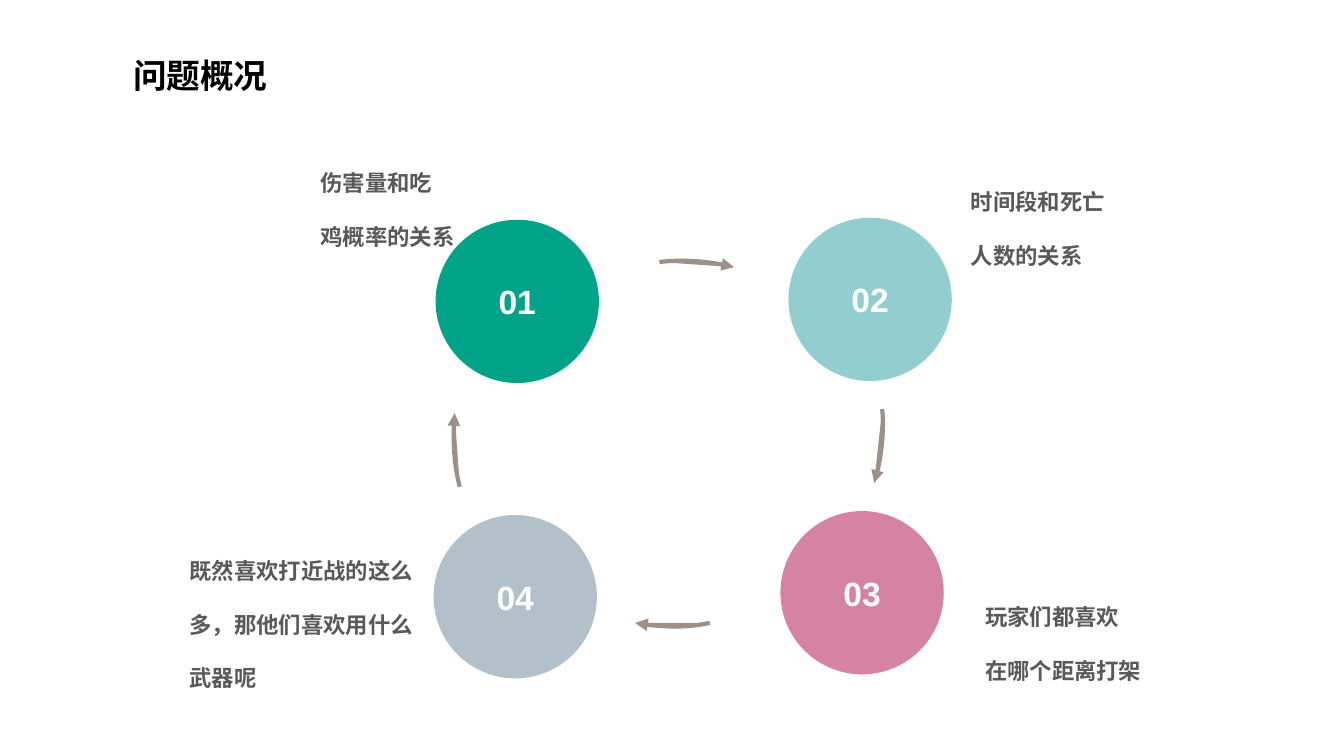
from dataclasses import dataclass

from lxml import etree
from pptx import Presentation
from pptx.dml.color import RGBColor
from pptx.enum.shapes import MSO_SHAPE
from pptx.enum.text import MSO_ANCHOR, PP_ALIGN
from pptx.oxml.ns import qn
from pptx.util import Inches, Pt

OVAL = MSO_SHAPE.OVAL
MIDDLE = MSO_ANCHOR.MIDDLE
LEFT, CENTER = PP_ALIGN.LEFT, PP_ALIGN.CENTER

LATIN_FONT = "Arial"
CHINESE_FONT = "Noto Sans CJK SC"
ARROW_COLOR = "9C9088"
LABEL_COLOR = "595959"
CIRCLE_SIZE = 1.62
CURVE_STEPS = 16

Point = tuple[float, float]


@dataclass
class Question:
    number: str
    color: str
    circle: Point
    label_box: tuple[float, float, float, float]
    label: list[str]


@dataclass
class CurvedArrow:
    start: Point
    control_one: Point
    control_two: Point
    end: Point

    def point(self, t: float) -> Point:
        """Point on the cubic curve at t, from 0 to 1."""
        weights = ((1 - t) ** 3, 3 * t * (1 - t) ** 2, 3 * t**2 * (1 - t), t**3)
        points = (self.start, self.control_one, self.control_two, self.end)
        x, y = (sum(w * p[axis] for w, p in zip(weights, points)) for axis in (0, 1))
        return Inches(x), Inches(y)


QUESTIONS = [
    Question("01", "00A388", (4.32, 2.18), (3.05, 1.34, 2.01, 1.13),
             ["伤害量和吃", "鸡概率的关系"]),
    Question("02", "92CDCF", (7.82, 2.16), (9.5, 1.53, 2.83, 1.13),
             ["时间段和死亡", "人数的关系"]),
    Question("03", "D582A3", (7.74, 5.07), (9.64, 5.65, 2.55, 1.13),
             ["玩家们都喜欢", "在哪个距离打架"]),
    Question("04", "B1C0C9", (4.3, 5.11), (1.75, 5.19, 2.55, 1.66),
             ["既然喜欢打近战的这么多，那他们喜欢用什么武器呢"]),
]

ARROWS = [
    CurvedArrow((6.54, 2.6), (6.86, 2.56), (7.16, 2.62), (7.28, 2.65)),
    CurvedArrow((8.75, 4.06), (8.78, 4.37), (8.71, 4.67), (8.67, 4.79)),
    CurvedArrow((7.04, 6.18), (6.73, 6.25), (6.42, 6.2), (6.3, 6.18)),
    CurvedArrow((4.56, 4.83), (4.48, 4.53), (4.5, 4.22), (4.51, 4.1)),
]


def rgb(color: str) -> RGBColor:
    return RGBColor.from_string(color)


def add_run(paragraph, text: str, size: float, color: str, font: str = LATIN_FONT) -> None:
    run = paragraph.add_run()
    run.text = text
    run.font.size = Pt(size)
    run.font.bold = True
    run.font.color.rgb = rgb(color)
    run.font.name = font
    east_asian = etree.SubElement(run.font._element, qn("a:ea"))
    east_asian.set("typeface", CHINESE_FONT)


def set_margins(text_frame, horizontal: float, vertical: float) -> None:
    text_frame.margin_left = text_frame.margin_right = Inches(horizontal)
    text_frame.margin_top = text_frame.margin_bottom = Inches(vertical)


def add_title(slide, text: str) -> None:
    title = slide.shapes.title
    title.left, title.top = Inches(1.22), Inches(0.49)
    title.width, title.height = Inches(5.7), Inches(0.5)
    title.text_frame.vertical_anchor = MIDDLE
    paragraph = title.text_frame.paragraphs[0]
    paragraph.alignment = LEFT
    add_run(paragraph, text, 24, "000000", CHINESE_FONT)


def add_arrow(slide, arrow: CurvedArrow) -> None:
    builder = slide.shapes.build_freeform(*arrow.point(0))
    builder.add_line_segments(
        [arrow.point(step / CURVE_STEPS) for step in range(1, CURVE_STEPS + 1)], close=False)
    shape = builder.convert_to_shape()
    shape.shadow.inherit = False
    shape.fill.solid()
    shape.fill.fore_color.rgb = rgb(ARROW_COLOR)
    shape.line.color.rgb = rgb(ARROW_COLOR)
    shape.line.width = Pt(3)
    etree.SubElement(shape.line._get_or_add_ln(), qn("a:tailEnd")).set("type", "triangle")


def add_circle(slide, question: Question) -> None:
    left, top = question.circle
    circle = slide.shapes.add_shape(
        OVAL, Inches(left), Inches(top), Inches(CIRCLE_SIZE), Inches(CIRCLE_SIZE))
    circle.shadow.inherit = False
    circle.fill.solid()
    circle.fill.fore_color.rgb = rgb(question.color)
    circle.line.fill.background()
    set_margins(circle.text_frame, 0, 0)
    circle.text_frame.vertical_anchor = MIDDLE
    paragraph = circle.text_frame.paragraphs[0]
    paragraph.alignment = CENTER
    add_run(paragraph, question.number, 24, "FFFFFF")


def add_label(slide, question: Question) -> None:
    box = slide.shapes.add_textbox(*map(Inches, question.label_box))
    text_frame = box.text_frame
    text_frame.word_wrap = True
    set_margins(text_frame, 0.13, 0.07)
    for index, line in enumerate(question.label):
        paragraph = text_frame.add_paragraph() if index else text_frame.paragraphs[0]
        paragraph.line_spacing = 2.0
        add_run(paragraph, line, 16, LABEL_COLOR)


def main() -> None:
    presentation = Presentation()
    presentation.slide_width = Inches(13.33)
    presentation.slide_height = Inches(7.5)
    title_only = presentation.slide_layouts[5]
    slide = presentation.slides.add_slide(title_only)

    add_title(slide, "问题概况")

    # Cycle of arrows and numbered circles
    for arrow in ARROWS:
        add_arrow(slide, arrow)
    for question in QUESTIONS:
        add_circle(slide, question)

    # Question labels, in front of the circles
    for question in QUESTIONS:
        add_label(slide, question)

    presentation.save("out.pptx")


if __name__ == "__main__":
    main()
